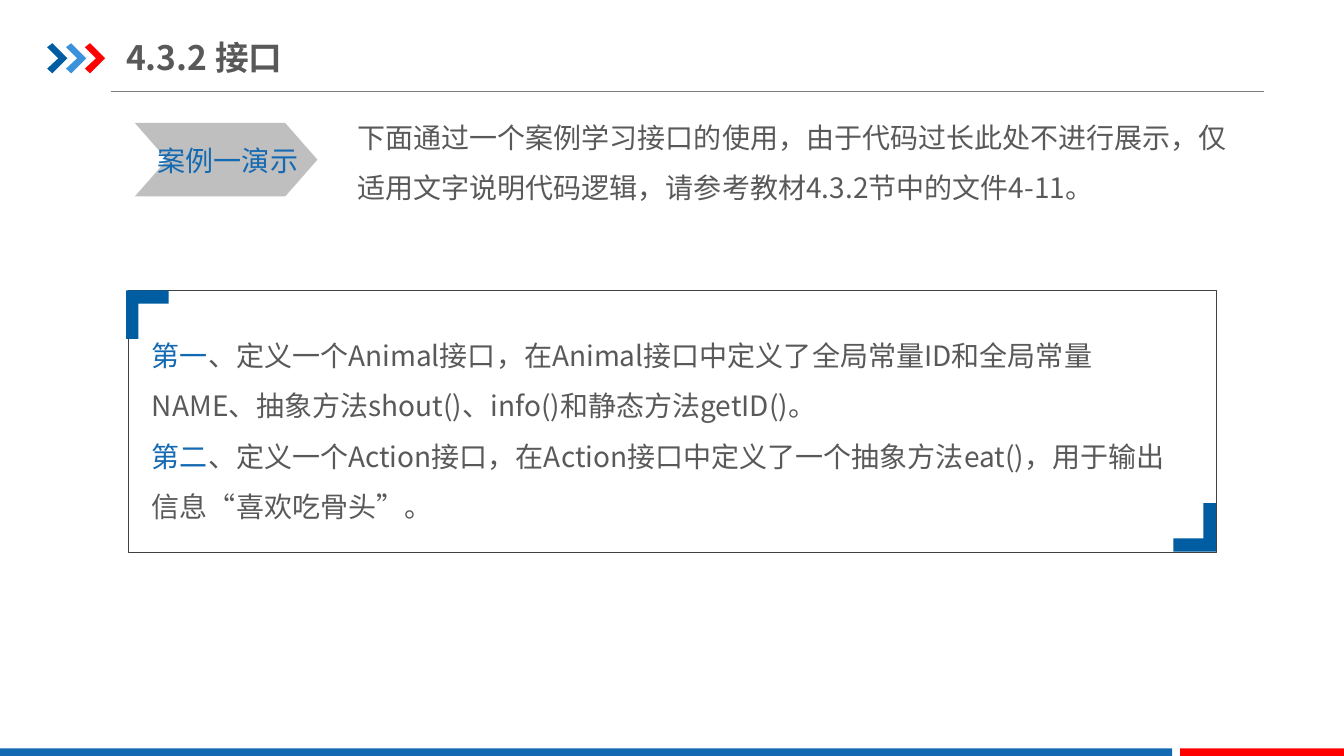
import pptx
import pptx.util
import pptx.dml.color
import pptx.enum.shapes
import pptx.enum.text
import lxml.etree
from dataclasses import dataclass
from pptx.util import Cm

TITLE = "4.3.2 接口"
LABEL = "案例一演示"
INTRO = "下面通过一个案例学习接口的使用，由于代码过长此处不进行展示，仅适用文字说明代码逻辑，请参考教材4.3.2节中的文件4-11。"
STEPS = [
    ("第一", "、定义一个Animal接口，在Animal接口中定义了全局常量ID和全局常量NAME、抽象方法shout()、info()和静态方法getID()。"),
    ("第二", "、定义一个Action接口，在Action接口中定义了一个抽象方法eat()，用于输出信息“喜欢吃骨头”。"),
]


@dataclass(frozen=True)
class Theme:
    font: str = "Noto Sans CJK SC"
    title_size: int = 24
    text_size: int = 20
    text: str = "595959"
    accent: str = "1369B2"
    navy: str = "005DA2"
    sky: str = "3992DB"
    red: str = "FF0000"
    banner: str = "BFBFBF"
    rule: str = "808080"
    frame: str = "404040"


THEME = Theme()
SHAPE = pptx.enum.shapes.MSO_SHAPE
FIT = pptx.enum.text.MSO_AUTO_SIZE
DRAWING = "{http://schemas.openxmlformats.org/drawingml/2006/main}"

ARROW = [(0, 0.1), (0.13, 0), (0.51, 0.38), (0.13, 0.76), (0, 0.64), (0.28, 0.38)]
ARROW_COLOURS = [THEME.navy, THEME.sky, THEME.red]
ARROW_LEFT, ARROW_TOP, ARROW_STEP = 1.19, 1.09, 0.475
CORNER = [(0, 0), (1.07, 0), (1.07, 0.33), (0.31, 0.33), (0.31, 1.22), (0, 1.22)]
CORNER_PLACES = [(3.18, 7.32, 1), (30.64, 13.9, -1)]
FOOTER_BARS = [(0, 29.54, THEME.accent), (29.74, 4.13, THEME.red)]


def colour(value):
    return pptx.dml.color.RGBColor.from_string(value)


def add_span(para, text, size=THEME.text_size, color=THEME.text, bold=False):
    span = para.add_run()
    span.text = text
    span.font.size = pptx.util.Pt(size)
    span.font.bold = bold
    span.font.color.rgb = colour(color)
    span.font.name = THEME.font
    latin = span.font._element.find(DRAWING + "latin")
    east_asian = lxml.etree.Element(DRAWING + "ea", typeface=THEME.font)
    latin.addnext(east_asian)


def add_text(page, place, paragraphs, spacing=None, wrap=True):
    box = page.shapes.add_textbox(*map(Cm, place))
    frame = box.text_frame
    frame.word_wrap = wrap
    frame.auto_size = FIT.SHAPE_TO_FIT_TEXT
    for index, spans in enumerate(paragraphs):
        para = frame.paragraphs[0] if index == 0 else frame.add_paragraph()
        para.line_spacing = spacing
        for text, color in spans:
            add_span(para, text, color=color)


def paint(shape, fill):
    shape.shadow.inherit = False
    shape.fill.solid()
    shape.fill.fore_color.rgb = colour(fill)
    shape.line.fill.background()


def add_outline(page, points, left, top, fill, direction=1):
    placed = [(Cm(left + direction * x), Cm(top + direction * y)) for x, y in points]
    builder = page.shapes.build_freeform(*placed[0])
    builder.add_line_segments(placed[1:], close=True)
    paint(builder.convert_to_shape(), fill)


def add_title(page):
    title = page.shapes.title
    title.left, title.top, title.width, title.height = map(Cm, (3.18, 0.74, 10.82, 1.4))
    frame = title.text_frame
    frame.margin_left = frame.margin_right = 0
    frame.margin_top = frame.margin_bottom = Cm(0.18)
    frame.word_wrap = True
    frame.auto_size = FIT.NONE
    frame.vertical_anchor = pptx.enum.text.MSO_ANCHOR.MIDDLE
    para = frame.paragraphs[0]
    para.alignment = pptx.enum.text.PP_ALIGN.LEFT
    add_span(para, TITLE, size=THEME.title_size, bold=True)


def add_header_and_footer(page):
    rule = page.shapes.add_connector(
        pptx.enum.shapes.MSO_CONNECTOR.STRAIGHT, Cm(2.79), Cm(2.31), Cm(31.85), Cm(2.31)
    )
    rule.line.color.rgb = colour(THEME.rule)
    rule.line.width = pptx.util.Pt(0.75)
    lxml.etree.SubElement(rule._element.spPr, DRAWING + "effectLst")
    for index, fill in enumerate(ARROW_COLOURS):
        add_outline(page, ARROW, ARROW_LEFT + index * ARROW_STEP, ARROW_TOP, fill)
    for left, width, fill in FOOTER_BARS:
        bar = page.shapes.add_shape(SHAPE.RECTANGLE, Cm(left), Cm(18.86), Cm(width), Cm(0.23))
        paint(bar, fill)


def add_case(page):
    steps = [[(lead, THEME.accent), (rest, THEME.text)] for lead, rest in STEPS]
    add_text(page, (3.58, 7.98, 26.47, 5.38), steps, spacing=1.5)
    banner = page.shapes.add_shape(SHAPE.CHEVRON, Cm(3.4), Cm(3.1), Cm(4.6), Cm(1.85))
    banner.adjustments[0] = 0.438
    paint(banner, THEME.banner)
    add_text(page, (3.73, 3.48, 4.04, 1.12), [[(LABEL, THEME.accent)]], wrap=False)
    add_text(page, (8.76, 2.49, 22.78, 2.82), [[(INTRO, THEME.text)]], spacing=1.5)
    frame = page.shapes.add_shape(
        SHAPE.ROUNDED_RECTANGLE, Cm(3.23), Cm(7.32), Cm(27.41), Cm(6.6)
    )
    frame.adjustments[0] = 0
    frame.shadow.inherit = False
    frame.fill.background()
    frame.line.color.rgb = colour(THEME.frame)
    frame.line.width = pptx.util.Pt(0.25)
    for left, top, direction in CORNER_PLACES:
        add_outline(page, CORNER, left, top, THEME.navy, direction)


def main():
    deck = pptx.Presentation()
    deck.slide_width, deck.slide_height = Cm(33.87), Cm(19.05)
    page = deck.slides.add_slide(deck.slide_layouts[5])
    add_header_and_footer(page)
    add_title(page)
    add_case(page)
    deck.save("out.pptx")


if __name__ == "__main__":
    main()
